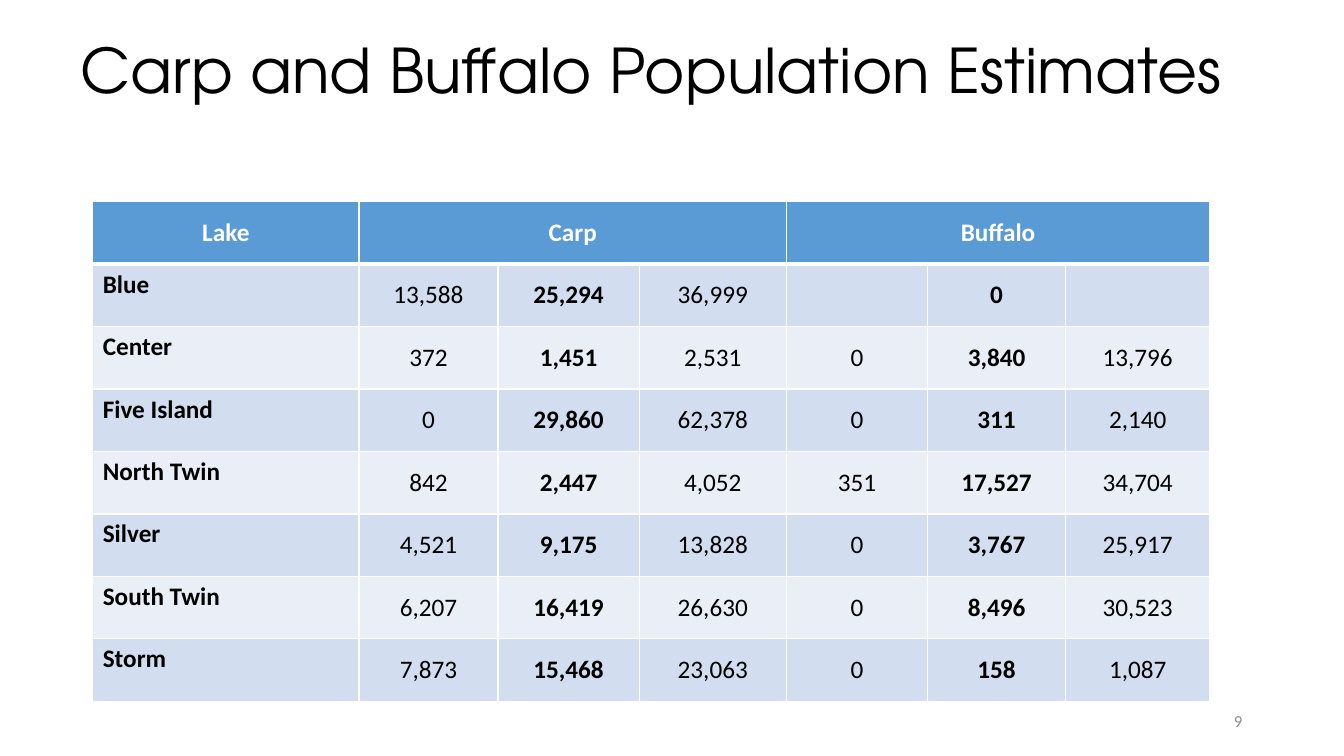
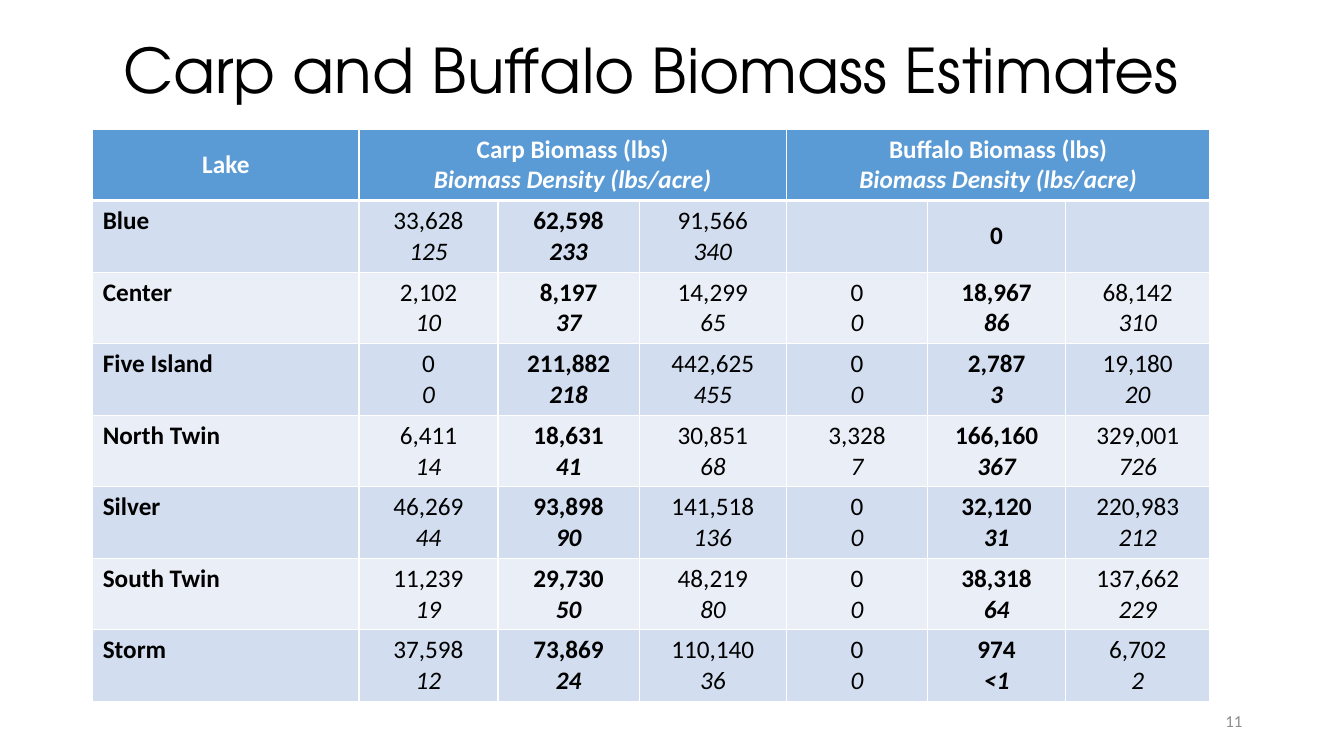
from dataclasses import dataclass
from lxml import etree
from pptx import Presentation
from pptx.dml.color import RGBColor
from pptx.enum.text import MSO_ANCHOR, MSO_AUTO_SIZE, PP_ALIGN
from pptx.oxml.ns import qn
from pptx.util import Inches, Pt

LEFT, CENTER, RIGHT = PP_ALIGN.LEFT, PP_ALIGN.CENTER, PP_ALIGN.RIGHT
TOP, MIDDLE = MSO_ANCHOR.TOP, MSO_ANCHOR.MIDDLE
TITLE_ONLY = 5


@dataclass(frozen=True)
class Theme:
    title_font: str = "TeX Gyre Adventor"
    body_font: str = "Calibri"
    title_size: int = 44
    body_size: int = 18
    number_size: int = 12
    ink: str = "000000"
    white: str = "FFFFFF"
    grey: str = "8C8C8C"
    header: str = "5B9BD5"
    bands: tuple = ("D2DEEF", "EAEFF7")
    thin_rule: int = 1
    thick_rule: int = 3


THEME = Theme()
SLIDE_SIZE = (13.33, 7.5)
TITLE_BOX = (0.5, 0, 11.92, 1.45)
NUMBER_BOX = (9.42, 6.95, 3, 0.4)
TABLE_LEFT = 0.92
COLUMNS = (2.64, 1.38, 1.4, 1.46, 1.4, 1.37, 1.43)
GROUP_SIZE = 3  # low, estimate and high for each species
LINE_BREAK = " / "  # parts a value from the density below it

SLIDES = [
    {
        "title": "Carp and Buffalo Population Estimates",
        "number": "9",
        "top": 2,
        "row_height": 0.62,
        "headers": ("Lake", "Carp", "Buffalo"),
        "lakes": [
            ("Blue", "13,588", "25,294", "36,999", "", "0", ""),
            ("Center", "372", "1,451", "2,531", "0", "3,840", "13,796"),
            ("Five Island", "0", "29,860", "62,378", "0", "311", "2,140"),
            ("North Twin", "842", "2,447", "4,052", "351", "17,527", "34,704"),
            ("Silver", "4,521", "9,175", "13,828", "0", "3,767", "25,917"),
            ("South Twin", "6,207", "16,419", "26,630", "0", "8,496", "30,523"),
            ("Storm", "7,873", "15,468", "23,063", "0", "158", "1,087"),
        ],
    },
    {
        "title": "Carp and Buffalo Biomass Estimates",
        "number": "11",
        "top": 1.28,
        "row_height": 0.71,
        "headers": (
            "Lake",
            "Carp Biomass (lbs) / Biomass Density (lbs/acre)",
            "Buffalo Biomass (lbs) / Biomass Density (lbs/acre)",
        ),
        "lakes": [
            ("Blue", "33,628 / 125", "62,598 / 233", "91,566 / 340",
             "", "0", ""),
            ("Center", "2,102 / 10", "8,197 / 37", "14,299 / 65",
             "0 / 0", "18,967 / 86", "68,142 / 310"),
            ("Five Island", "0 / 0", "211,882 / 218", "442,625 / 455",
             "0 / 0", "2,787 / 3", "19,180 / 20"),
            ("North Twin", "6,411 / 14", "18,631 / 41", "30,851 / 68",
             "3,328 / 7", "166,160 / 367", "329,001 / 726"),
            ("Silver", "46,269 / 44", "93,898 / 90", "141,518 / 136",
             "0 / 0", "32,120 / 31", "220,983 / 212"),
            ("South Twin", "11,239 / 19", "29,730 / 50", "48,219 / 80",
             "0 / 0", "38,318 / 64", "137,662 / 229"),
            ("Storm", "37,598 / 12", "73,869 / 24", "110,140 / 36",
             "0 / 0", "974 / <1", "6,702 / 2"),
        ],
    },
]


def write(frame, text, font=THEME.body_font, size=THEME.body_size,
          color=THEME.ink, bold=False, align=CENTER, spacing=None):
    """Fill a text frame; every line after the first is italic."""
    for index, line in enumerate(text.split(LINE_BREAK)):
        paragraph = frame.add_paragraph() if index else frame.paragraphs[0]
        paragraph.alignment = align
        if spacing:
            paragraph.line_spacing = spacing
        if not line:
            paragraph.font.size = Pt(size)
            continue
        run = paragraph.add_run()
        run.text = line
        run.font.name = font
        run.font.size = Pt(size)
        run.font.bold = bold
        run.font.italic = index > 0
        run.font.color.rgb = RGBColor.from_string(color)


def add_borders(cell, top, bottom):
    widths = {"a:lnL": THEME.thin_rule, "a:lnR": THEME.thin_rule,
              "a:lnT": top, "a:lnB": bottom}
    properties = cell._tc.get_or_add_tcPr()
    for side, width in widths.items():
        line = etree.SubElement(properties, qn(side), w=str(Pt(width)))
        fill = etree.SubElement(line, qn("a:solidFill"))
        etree.SubElement(fill, qn("a:srgbClr"), val=THEME.white)


def paint_cell(cell, row):
    header_edge, thin = THEME.thick_rule, THEME.thin_rule
    add_borders(cell, top=header_edge if row == 1 else thin,
                bottom=header_edge if row == 0 else thin)
    color = THEME.bands[(row - 1) % 2] if row else THEME.header
    cell.fill.solid()
    cell.fill.fore_color.rgb = RGBColor.from_string(color)


def add_title(slide, text):
    title = slide.shapes.title
    title.left, title.top, title.width, title.height = map(Inches, TITLE_BOX)
    frame = title.text_frame
    frame.auto_size = MSO_AUTO_SIZE.NONE
    frame.vertical_anchor = MIDDLE
    write(frame, text, font=THEME.title_font, size=THEME.title_size, spacing=0.9)


def add_number(slide, text):
    frame = slide.shapes.add_textbox(*map(Inches, NUMBER_BOX)).text_frame
    frame.word_wrap = True
    frame.vertical_anchor = MIDDLE
    write(frame, text, size=THEME.number_size, color=THEME.grey, align=RIGHT)


def add_estimates(slide, top, row_height, headers, lakes):
    row_count = len(lakes) + 1
    bounds = (TABLE_LEFT, top, sum(COLUMNS), row_height * row_count)
    table = slide.shapes.add_table(
        row_count, len(COLUMNS), *map(Inches, bounds)).table
    table.horz_banding = False
    for column, width in zip(table.columns, COLUMNS):
        column.width = Inches(width)
    for row, table_row in enumerate(table.rows):
        table_row.height = Inches(row_height)
        for cell in table_row.cells:
            paint_cell(cell, row)

    for group, header in enumerate(headers):
        last = group * GROUP_SIZE
        cell = table.cell(0, max(0, last - GROUP_SIZE + 1))
        if group:
            cell.merge(table.cell(0, last))
        cell.vertical_anchor = MIDDLE
        write(cell.text_frame, header, color=THEME.white, bold=True)

    for row, (lake, *values) in enumerate(lakes, start=1):
        name_cell = table.cell(row, 0)
        name_cell.vertical_anchor = TOP
        write(name_cell.text_frame, lake, bold=True, align=LEFT)
        for column, value in enumerate(values, start=1):
            cell = table.cell(row, column)
            cell.vertical_anchor = MIDDLE
            is_estimate = column % GROUP_SIZE == 2
            write(cell.text_frame, value, bold=is_estimate)


def main():
    deck = Presentation()
    deck.slide_width, deck.slide_height = map(Inches, SLIDE_SIZE)
    for content in SLIDES:
        slide = deck.slides.add_slide(deck.slide_layouts[TITLE_ONLY])
        add_title(slide, content["title"])
        add_number(slide, content["number"])
        add_estimates(slide, content["top"], content["row_height"],
                      content["headers"], content["lakes"])
    deck.save("out.pptx")


if __name__ == "__main__":
    main()
